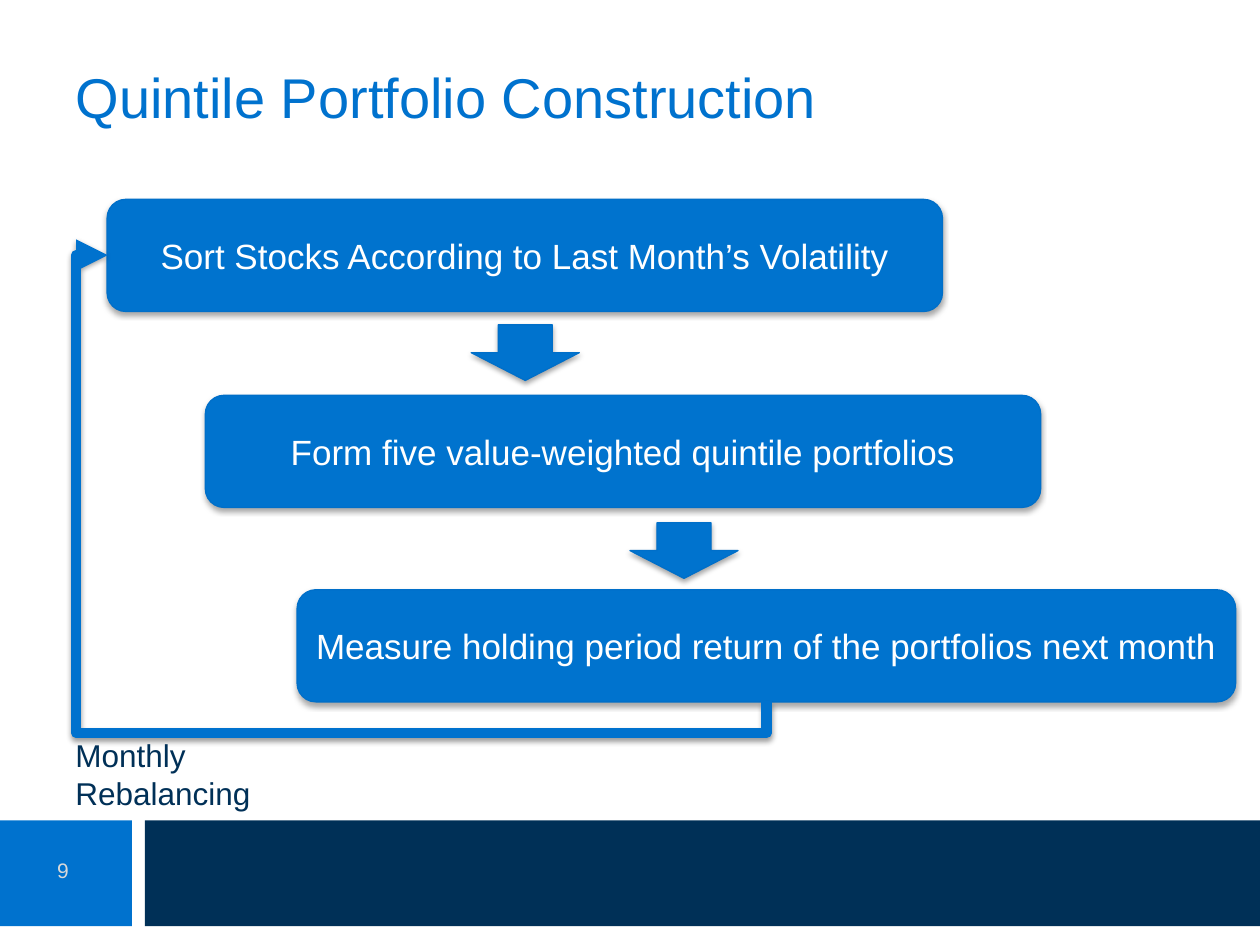
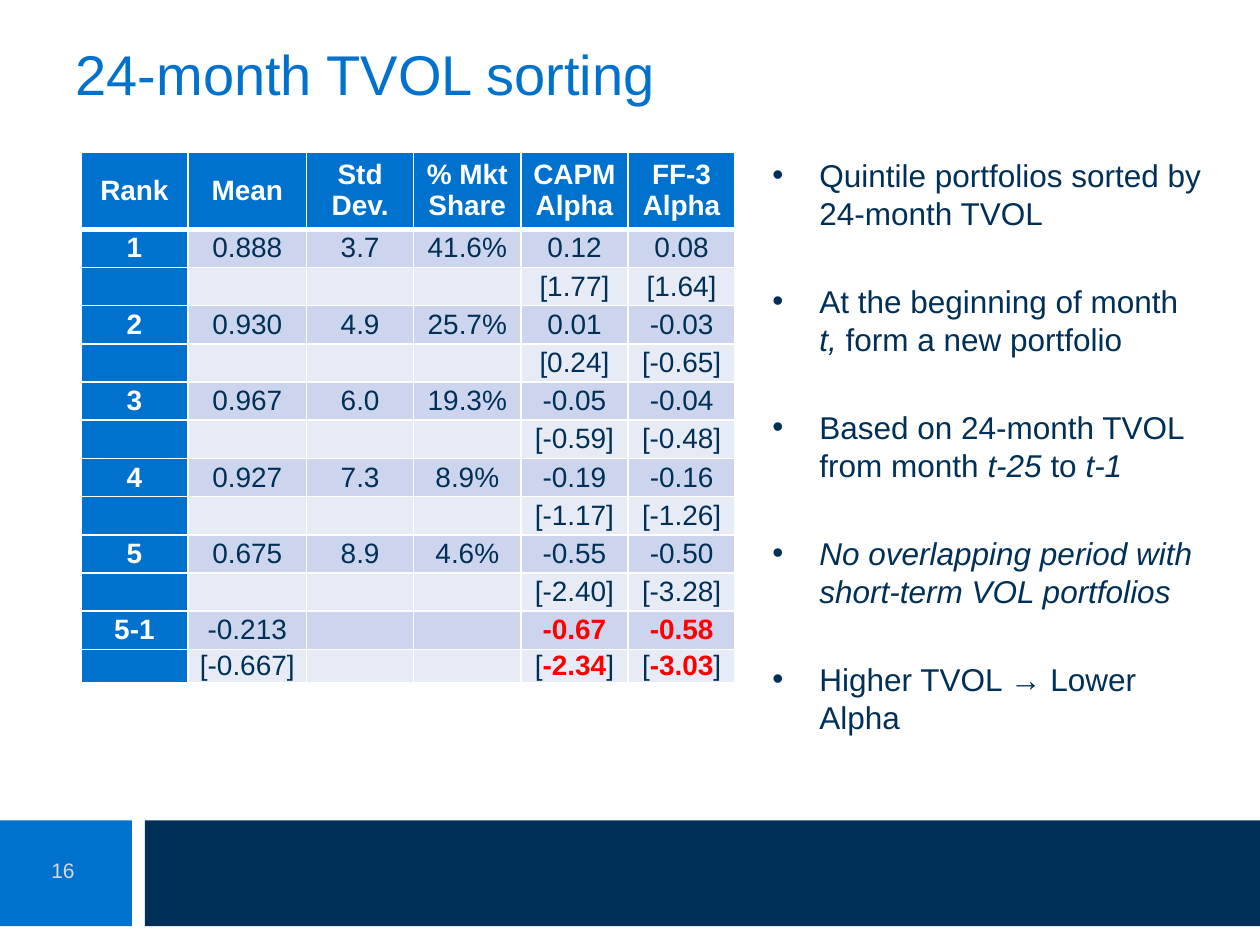
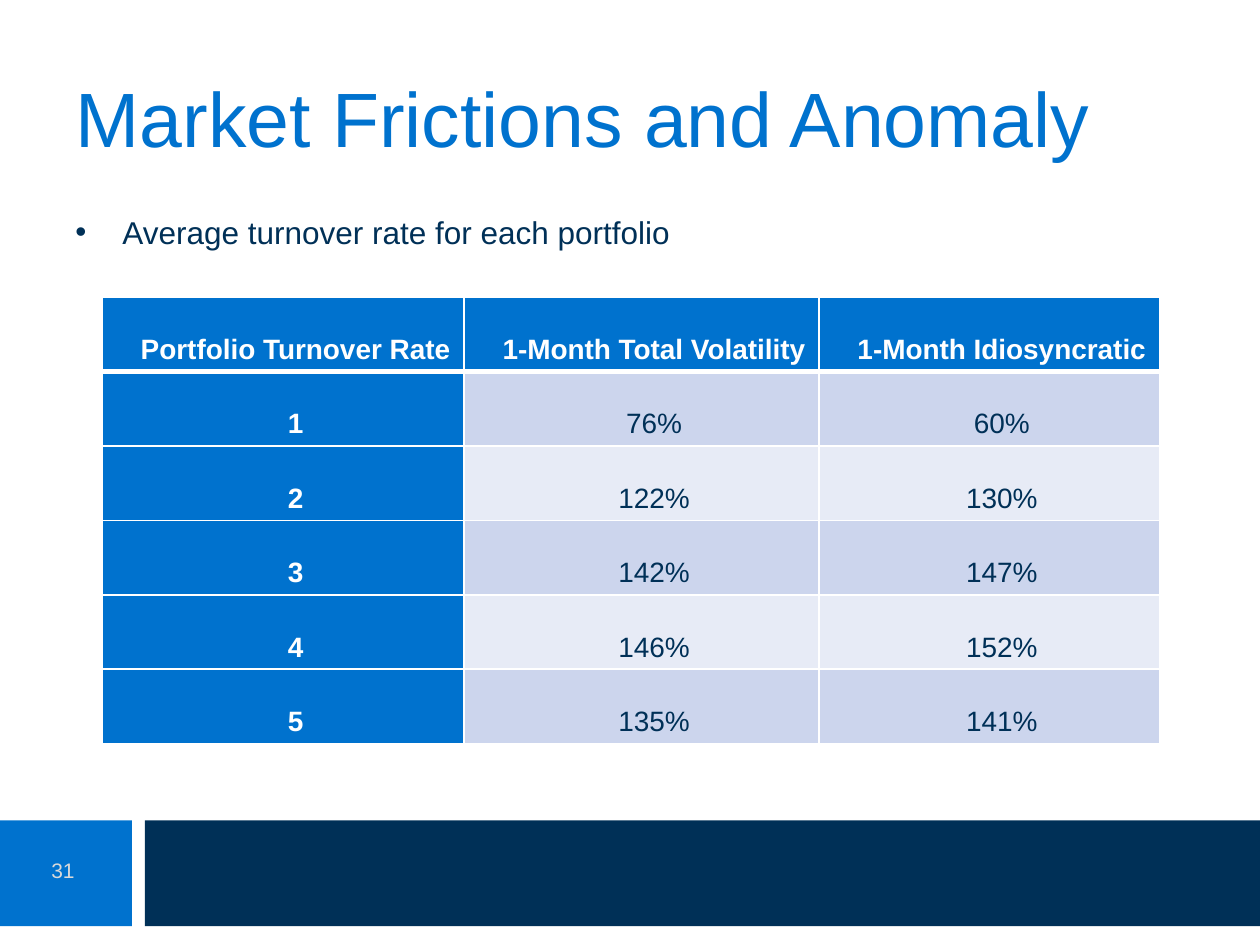
from dataclasses import dataclass

from lxml import etree
from pptx import Presentation
from pptx import util as u
from pptx.dml import color as dml
from pptx.enum import shapes, text
from pptx.oxml import ns

MID = text.MSO_ANCHOR.MIDDLE
TOP = text.MSO_ANCHOR.TOP
LEFT = text.PP_ALIGN.LEFT
MAIN = text.PP_ALIGN.CENTER
KIND = shapes.MSO_SHAPE


@dataclass(frozen=True)
class Theme:
    font: str = "Arial"
    blue: str = "0072CE"
    fill: str = "0073CE"
    edge: str = "006FC9"
    navy: str = "003057"
    white: str = "FFFFFF"
    grey: str = "D9D9D9"
    red: str = "FF0000"
    odd: str = "CCD5ED"
    even: str = "E7EBF6"
    large: int = 44
    head: int = 32
    step: int = 20
    body: int = 18
    cell: int = 16
    note: int = 12


LOOK = Theme()


@dataclass(frozen=True)
class Box:
    left: float
    top: float
    width: float
    height: float

    def span(self) -> tuple:
        return tuple(u.Cm(n) for n in (self.left, self.top, self.width, self.height))


@dataclass(frozen=True)
class Step:
    label: str
    box: Box
    kind: int = KIND.ROUNDED_RECTANGLE


@dataclass(frozen=True)
class Band:
    box: Box
    fill: str


@dataclass(frozen=True)
class Grid:
    box: Box
    wide: tuple
    high: tuple
    rows: tuple
    pad: float
    dent: float = 0
    pitch: float = 1


BANDS = (
    Band(Box(-0.03, 16.54, 2.69, 2.13), LOOK.blue),
    Band(Box(2.92, 16.54, 22.53, 2.13), LOOK.navy),
)

STEPS = (
    Step("Sort Stocks According to Last Month’s Volatility", Box(2.16, 4.02, 16.84, 2.26)),
    Step("Form five value-weighted quintile portfolios", Box(4.14, 7.97, 16.84, 2.26)),
    Step("Measure holding period return of the portfolios next month", Box(5.99, 11.89, 18.92, 2.26)),
)

DROPS = (
    Step("", Box(9.5, 6.55, 2.18, 1.12), KIND.DOWN_ARROW),
    Step("", Box(12.7, 10.54, 2.18, 1.12), KIND.DOWN_ARROW),
)

SORTS = Grid(
    box=Box(1.63, 3.07, 13.19, 10.63),
    wide=(2.16, 2.39, 2.16, 2.16, 2.16, 2.16),
    high=(1.55,) + (0.77,) * 11 + (0.61,),
    rows=(
        ("Rank", "Mean", "Std Dev.", "% Mkt Share", "CAPM Alpha", "FF-3\nAlpha"),
        ("1", "0.888", "3.7", "41.6%", "0.12", "0.08"),
        ("", "", "", "", "[1.77]", "[1.64]"),
        ("2", "0.930", "4.9", "25.7%", "0.01", "-0.03"),
        ("", "", "", "", "[0.24]", "[-0.65]"),
        ("3", "0.967", "6.0", "19.3%", "-0.05", "-0.04"),
        ("", "", "", "", "[-0.59]", "[-0.48]"),
        ("4", "0.927", "7.3", "8.9%", "-0.19", "-0.16"),
        ("", "", "", "", "[-1.17]", "[-1.26]"),
        ("5", "0.675", "8.9", "4.6%", "-0.55", "-0.50"),
        ("", "", "", "", "[-2.40]", "[-3.28]"),
        ("5-1", "-0.213", "", "", "*-0.67*", "*-0.58*"),
        ("", "[-0.667]", "", "", "[*-2.34*]", "[*-3.03*]"),
    ),
    pad=0.15,
)

RATES = Grid(
    box=Box(2.06, 5.99, 21.31, 9),
    wide=(7.29, 7.16, 6.86),
    high=(1.5,) * 6,
    rows=(
        ("Portfolio Turnover Rate", "1-Month Total Volatility", "1-Month Idiosyncratic"),
        ("1", "76%", "60%"),
        ("2", "122%", "130%"),
        ("3", "142%", "147%"),
        ("4", "146%", "152%"),
        ("5", "135%", "141%"),
    ),
    pad=0.18,
    dent=0.51,
    pitch=2,
)

NOTES = "\n".join((
    "Quintile portfolios sorted by 24-month TVOL",
    "At the beginning of month *t, *form a new portfolio",
    "Based on 24-month TVOL from month *t-25* to *t-1*",
    "*No overlapping period with short-term VOL portfolios*",
    "Higher TVOL → Lower Alpha",
))


def tint(code: str) -> dml.RGBColor:
    return dml.RGBColor.from_string(code)


def node(base, tag: str, **keys):
    return etree.SubElement(base, ns.qn(tag), {k: str(v) for k, v in keys.items()})


def write(frame, words: str, *, size: int, hue: str = LOOK.navy, bold: bool = False,
          align=LEFT, anchor=TOP, wrap: bool = True, bullet: bool = False,
          gap: float = 0, dent: float = 0, pitch: float = 1, hot: bool = False) -> None:
    frame.word_wrap = wrap
    frame.vertical_anchor = anchor
    for i, line in enumerate(words.split("\n")):
        para = frame.add_paragraph() if i else frame.paragraphs[0]
        para.alignment = align
        para.space_before = u.Pt(0)
        para.space_after = u.Pt(gap)
        para.line_spacing = float(pitch)
        prop = para._p.get_or_add_pPr()
        if bullet:
            prop.set("marL", str(u.Cm(0.95)))
            prop.set("indent", str(u.Cm(-0.95)))
            node(prop, "a:buFont", typeface=LOOK.font)
            node(prop, "a:buChar", char="•")
        elif dent:
            prop.set("indent", str(u.Cm(dent)))
        for j, part in enumerate(line.split("*")):
            if not part:
                continue
            mark = j % 2 == 1
            run = para.add_run()
            run.text = part
            font = run.font
            font.name = LOOK.font
            font.size = u.Pt(size)
            font.bold = bold or (mark and hot)
            font.italic = mark and not hot
            font.color.rgb = tint(LOOK.red if mark and hot else hue)
        if not line:
            node(para._p, "a:endParaRPr", sz=size * 100)


def label(slide, box: Box, words: str, **form) -> None:
    write(slide.shapes.add_textbox(*box.span()).text_frame, words, **form)


def shade(item, alpha: int, dist: int) -> None:
    glow = node(item.element.spPr, "a:effectLst")
    drop = node(glow, "a:outerShdw", blurRad=40000, dist=dist, dir=5400000, rotWithShape=0)
    node(node(drop, "a:srgbClr", val="000000"), "a:alpha", val=alpha * 1000)


def draw_bands(slide) -> None:
    tree = slide.slide_layout.shapes.element
    for i, band in enumerate(BANDS):
        item = slide.shapes.add_shape(KIND.RECTANGLE, *band.box.span())
        item.shadow.inherit = False
        item.fill.solid()
        item.fill.fore_color.rgb = tint(band.fill)
        item.line.fill.background()
        tree.insert(2 + i, item.element)


def draw_step(slide, step: Step) -> None:
    item = slide.shapes.add_shape(step.kind, *step.box.span())
    item.fill.solid()
    item.fill.fore_color.rgb = tint(LOOK.fill)
    item.line.color.rgb = tint(LOOK.edge)
    item.line.width = u.Pt(0.75)
    shade(item, 35, 23000)
    if step.label:
        write(item.text_frame, step.label, size=LOOK.step, hue=LOOK.white, align=MAIN, anchor=MID)


def draw_loop(slide) -> None:
    left, top, width, height = Box(4.32, 3, 8.99, 13.28).span()
    loop = slide.shapes.add_connector(
        shapes.MSO_CONNECTOR.ELBOW, left, top, left + width, top + height)
    loop.line.color.rgb = tint(LOOK.blue)
    loop.line.width = u.Pt(6)
    prop = loop.element.spPr
    frame = prop.find(ns.qn("a:xfrm"))
    frame.set("rot", "5400000")
    frame.set("flipH", "1")
    geom = prop.find(ns.qn("a:prstGeom"))
    geom.set("prst", "bentConnector4")
    bends = geom.find(ns.qn("a:avLst"))
    for name, val in (("adj1", -7100), ("adj2", 104800)):
        node(bends, "a:gd", name=name, fmla=f"val {val}")
    node(prop.find(ns.qn("a:ln")), "a:tailEnd", type="triangle")
    shade(loop, 38, 20000)


def edge(cell, row: int) -> None:
    prop = cell._tc.get_or_add_tcPr()
    for i, side in enumerate("LRTB"):
        thick = (row, side) in ((0, "B"), (1, "T"))
        line = etree.Element(ns.qn(f"a:ln{side}"), w=str(u.Pt(3 if thick else 1)))
        node(node(line, "a:solidFill"), "a:srgbClr", val=LOOK.white)
        prop.insert(i, line)


def draw_grid(slide, grid: Grid) -> None:
    table = slide.shapes.add_table(len(grid.rows), len(grid.wide), *grid.box.span()).table
    table.horz_banding = False
    table.first_col = True
    for col, wide in zip(table.columns, grid.wide):
        col.width = u.Cm(wide)
    for r, (row, high) in enumerate(zip(grid.rows, grid.high)):
        table.rows[r].height = u.Cm(high)
        for c, words in enumerate(row):
            cell = table.cell(r, c)
            head = r == 0 or c == 0
            cell.margin_left = cell.margin_right = u.Cm(grid.pad)
            cell.margin_top = cell.margin_bottom = 0
            cell.vertical_anchor = MID
            cell.fill.solid()
            cell.fill.fore_color.rgb = tint(
                LOOK.blue if head else LOOK.odd if r % 2 else LOOK.even)
            edge(cell, r)
            write(cell.text_frame, words, size=LOOK.cell, bold=head, hot=True,
                  hue=LOOK.white if head else LOOK.navy, align=MAIN, anchor=MID,
                  dent=grid.dent, pitch=grid.pitch)


def add_slide(deck, title: str, box: Box, page: int, size: int = LOOK.head):
    slide = deck.slides.add_slide(deck.slide_layouts[5])
    head = slide.shapes.title
    head.left, head.top, head.width, head.height = box.span()
    write(head.text_frame, title, size=size, hue=LOOK.blue, anchor=MID)
    head.text_frame.auto_size = text.MSO_AUTO_SIZE.NONE
    label(slide, Box(0.38, 17.04, 1.78, 1.02), str(page), size=LOOK.note,
          hue=LOOK.grey, align=MAIN, anchor=MID)
    return slide


def main() -> None:
    deck = Presentation()
    deck.slide_width, deck.slide_height = u.Cm(25.4), u.Cm(19.05)

    flow = add_slide(deck, "Quintile Portfolio Construction", Box(1.27, 0.76, 22.86, 2.36), 9)
    draw_bands(flow)
    for step in STEPS:
        draw_step(flow, step)
    draw_loop(flow)
    for drop in DROPS:
        draw_step(flow, drop)
    label(flow, Box(1.27, 14.71, 4.06, 1.8), "Monthly\nRebalancing", size=LOOK.body, wrap=False)

    sort = add_slide(deck, "24-month TVOL sorting", Box(1.27, 0.76, 18.59, 1.42), 16)
    draw_grid(sort, SORTS)
    label(sort, Box(15.32, 3.02, 9.19, 11.89), NOTES, size=LOOK.body, bullet=True, gap=28.8)

    rate = add_slide(deck, "Market Frictions and Anomaly", Box(1.27, 0.76, 22.86, 3.18), 31, LOOK.large)
    label(rate, Box(1.27, 4.17, 22.86, 12.12), "Average turnover rate for each portfolio",
          size=LOOK.body, bullet=True)
    draw_grid(rate, RATES)

    deck.save("out.pptx")


if __name__ == "__main__":
    main()
